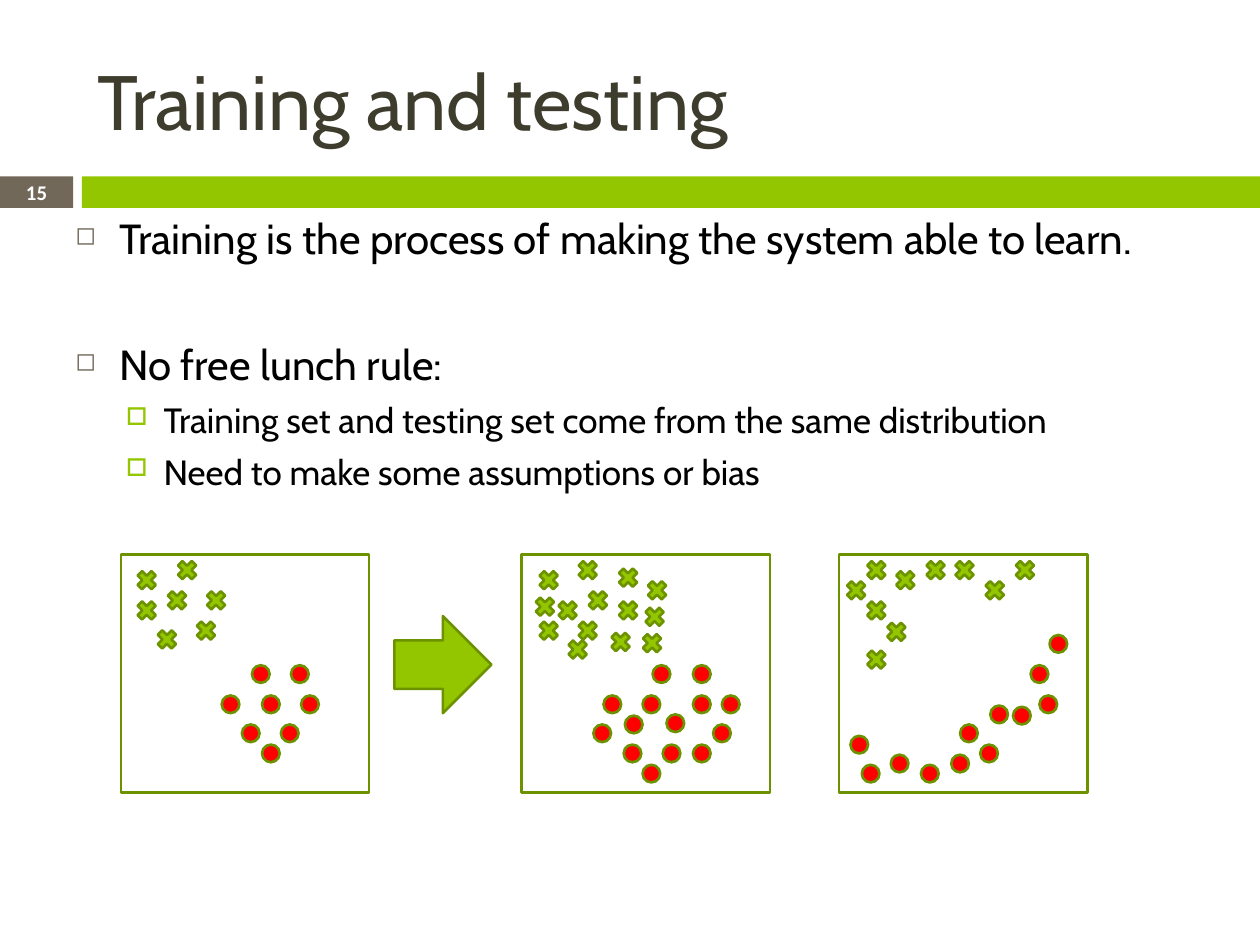
from typing import NamedTuple

from lxml import etree
from pptx import Presentation
from pptx import util as u
from pptx.dml import color
from pptx.enum import shapes, text
from pptx.oxml import ns

PX = u.Inches(1) // 100
COLORS = {
    "white": "FFFFFF",
    "black": "000000",
    "title": "3E3D2D",
    "taupe": "71685A",
    "green": "94C600",
    "outline": "6D9200",
    "red": "FF0000",
}
KIND = shapes.MSO_SHAPE


class Box(NamedTuple):
    left: int
    top: int
    width: int
    height: int

    def emu(self) -> list[int]:
        return [length * PX for length in self]


class Level(NamedTuple):
    size: int
    indent: int
    hang: int
    bullet: str
    bullet_color: str
    bullet_percent: int


class Point(NamedTuple):
    level: Level
    wording: str
    space_before: float


class Panel(NamedTuple):
    left: int
    crosses: list[tuple[int, int]]
    dots: list[tuple[int, int]]


MAIN = Level(24, 35, 35, "◻", "taupe", 60)
SUB = Level(20, 70, 30, "□", "green", 70)
POINTS = [
    Point(MAIN, "Training is the process of making the system able to learn.", 0),
    Point(MAIN, "No free lunch rule:", 43),
    Point(SUB, "Training set and testing set come from the same distribution", 5.5),
    Point(SUB, "Need to make some assumptions or bias", 5.5),
]

PANEL_TOP, PANEL_WIDTH, PANEL_HEIGHT = 440, 197, 189
CROSS_SIZE, DOT_SIZE = 21, 14
TRAINING = Panel(
    96,
    [(106, 450), (130, 466), (138, 442), (106, 474), (161, 466), (153, 490), (122, 497)],
    [(200, 528), (176, 552), (231, 528), (208, 552), (192, 575), (239, 552),
     (223, 575), (208, 591)],
)
SAME_DISTRIBUTION = Panel(
    414,
    [(425, 450), (422, 471), (456, 442), (440, 474), (464, 466), (488, 448),
     (456, 490), (488, 474), (509, 479), (511, 458), (425, 490), (448, 505),
     (482, 499), (507, 500)],
    [(518, 528), (479, 552), (550, 528), (550, 552), (510, 552), (573, 552),
     (566, 575), (526, 591), (496, 568), (495, 591), (529, 567), (550, 591),
     (510, 607), (471, 575)],
)
OTHER_DISTRIBUTION = Panel(
    666,
    [(685, 442), (755, 442), (708, 450), (669, 458), (732, 442), (779, 458),
     (803, 442), (685, 474), (701, 491), (685, 513)],
    [(675, 584), (684, 607), (818, 528), (786, 560), (762, 575), (825, 552),
     (755, 599), (778, 591), (833, 504), (804, 561), (731, 607), (707, 599)],
)


def rgb(name: str) -> color.RGBColor:
    return color.RGBColor.from_string(COLORS[name])


def draw_shape(slide, kind, box: Box, fill: str, outlined: bool = True):
    drawn = slide.shapes.add_shape(kind, *box.emu())
    drawn.shadow.inherit = False
    drawn.fill.solid()
    drawn.fill.fore_color.rgb = rgb(fill)
    if outlined:
        drawn.line.color.rgb = rgb("outline")
        drawn.line.width = u.Pt(1.5)
    else:
        drawn.line.fill.background()
    return drawn


def style(font, family: str, size: float, tint: str, bold: bool = False) -> None:
    font.name = family
    font.size = u.Pt(size)
    font.color.rgb = rgb(tint)
    font.bold = bold


def add_bullet(paragraph, level: Level) -> None:
    props = paragraph._p.get_or_add_pPr()
    props.set("marL", str(level.indent * PX))
    props.set("indent", str(-level.hang * PX))
    tint = etree.SubElement(props, ns.qn("a:buClr"))
    etree.SubElement(tint, ns.qn("a:srgbClr"), val=COLORS[level.bullet_color])
    etree.SubElement(props, ns.qn("a:buSzPct"), val=str(level.bullet_percent * 1000))
    etree.SubElement(props, ns.qn("a:buChar"), char=level.bullet)


def draw_title(slide) -> None:
    title = slide.shapes.title
    title.left, title.top, title.width, title.height = Box(67, 25, 892, 108).emu()
    frame = title.text_frame
    frame.text = "Training and testing"
    frame.auto_size = text.MSO_AUTO_SIZE.NONE
    frame.vertical_anchor = text.MSO_ANCHOR.MIDDLE
    heading = frame.paragraphs[0]
    heading.alignment = text.PP_ALIGN.LEFT
    style(heading.runs[0].font, "Cabin", 44, "title")


def draw_page_number(slide) -> None:
    frame = slide.shapes.add_textbox(*Box(0, 139, 58, 27).emu()).text_frame
    frame.word_wrap = True
    frame.margin_left = frame.margin_right = 0
    frame.margin_top = frame.margin_bottom = 0
    frame.vertical_anchor = text.MSO_ANCHOR.MIDDLE
    frame.text = "15"
    number = frame.paragraphs[0]
    number.alignment = text.PP_ALIGN.CENTER
    style(number.runs[0].font, "Calibri", 11.9, "white", True)


def draw_points(slide, points: list[Point]) -> None:
    frame = slide.shapes.add_textbox(*Box(50, 164, 900, 506).emu()).text_frame
    frame.word_wrap = True
    for index, point in enumerate(points):
        paragraph = frame.add_paragraph() if index else frame.paragraphs[0]
        paragraph.text = point.wording
        paragraph.level = int(point.level is SUB)
        add_bullet(paragraph, point.level)
        paragraph.space_before = u.Pt(point.space_before)
        style(paragraph.runs[0].font, "Cabin", point.level.size, "black")


def draw_panel(slide, panel: Panel) -> None:
    frame = Box(panel.left, PANEL_TOP, PANEL_WIDTH, PANEL_HEIGHT)
    draw_shape(slide, KIND.FLOWCHART_PROCESS, frame, "white")
    for left, top in panel.crosses:
        draw_shape(slide, KIND.MATH_MULTIPLY, Box(left, top, CROSS_SIZE, CROSS_SIZE), "green")
    for left, top in panel.dots:
        draw_shape(slide, KIND.FLOWCHART_CONNECTOR, Box(left, top, DOT_SIZE, DOT_SIZE), "red")


def main() -> None:
    deck = Presentation()
    deck.slide_width, deck.slide_height = 1000 * PX, 750 * PX
    slide = deck.slides.add_slide(deck.slide_layouts[5])
    draw_shape(slide, KIND.RECTANGLE, Box(0, 140, 58, 25), "taupe", False)
    draw_shape(slide, KIND.RECTANGLE, Box(65, 140, 935, 25), "green", False)
    draw_title(slide)
    draw_page_number(slide)
    draw_points(slide, POINTS)
    for panel in (TRAINING, SAME_DISTRIBUTION, OTHER_DISTRIBUTION):
        draw_panel(slide, panel)
    draw_shape(slide, KIND.RIGHT_ARROW, Box(313, 489, 77, 77), "green")
    deck.save("out.pptx")


if __name__ == "__main__":
    main()
